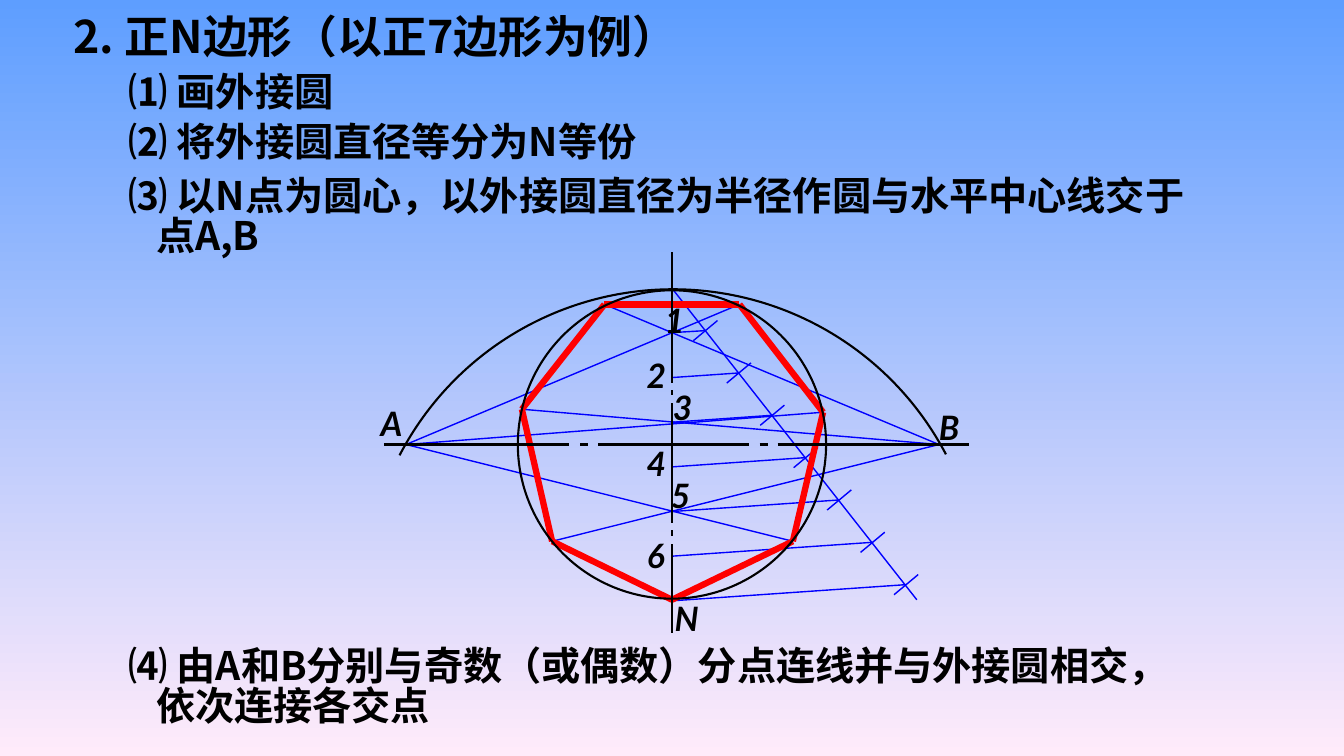
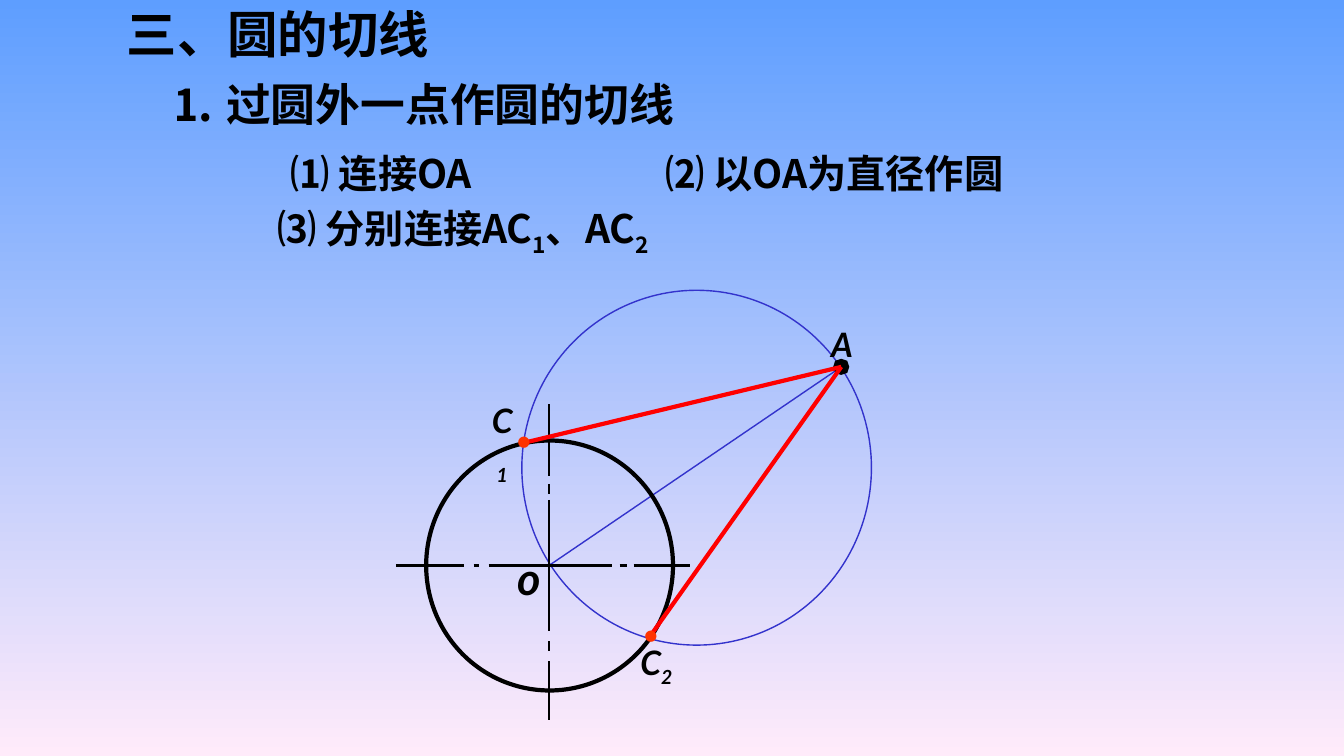
from itertools import pairwise
from math import cos, radians, sin

from lxml.etree import SubElement
from pptx import Presentation
from pptx.dml.color import RGBColor
from pptx.enum.shapes import MSO_CONNECTOR, MSO_SHAPE
from pptx.enum.text import MSO_ANCHOR, PP_ALIGN
from pptx.oxml.ns import qn
from pptx.util import Pt

EMU_PER_PX = 9144
SKY = RGBColor(0x5E, 0x9E, 0xFF)
BLUSH = RGBColor(0xFF, 0xEB, 0xFA)
BLACK = RGBColor(0, 0, 0)
BLUE = RGBColor(0, 0, 0xFF)
INDIGO = RGBColor(0x33, 0x33, 0xCC)
RED = RGBColor(0xFF, 0, 0)
ORANGE = RGBColor(0xFF, 0x33, 0)
CJK = "Noto Sans CJK SC"
LATIN = "Lato"


def px(*lengths):
    return [round(length * EMU_PER_PX) for length in lengths]


class GeometryDeck:
    def __init__(self):
        self.prs = Presentation()
        self.prs.slide_width, self.prs.slide_height = px(1334, 750)
        fill = self.prs.slide_master.background.fill
        fill.gradient()
        fill.gradient_angle = 270
        for stop, colour in zip(fill.gradient_stops, (SKY, BLUSH)):
            stop.color.rgb = colour

    def new_slide(self):
        self.shapes = self.prs.slides.add_slide(self.prs.slide_layouts[6]).shapes

    def text(self, content, left, top, width, height, *, size=28, font=CJK,
             colour=BLACK, italic=False, align=PP_ALIGN.LEFT, spacing=None):
        """Newlines part paragraphs; bars enclose subscripts."""
        frame = self.shapes.add_textbox(*px(left, top, width, height)).text_frame
        frame.word_wrap = True
        frame.vertical_anchor = MSO_ANCHOR.MIDDLE
        for row, line in enumerate(content.split("\n")):
            paragraph = frame.add_paragraph() if row else frame.paragraphs[0]
            paragraph.alignment = align
            paragraph.line_spacing = spacing
            if row:
                paragraph._p.get_or_add_pPr().set("marL", str(px(27)[0]))
            for index, piece in enumerate(line.split("|")):
                if not piece:
                    continue
                run = paragraph.add_run()
                run.text = piece
                run.font.size = Pt(size)
                run.font.bold = True
                run.font.italic = italic
                run.font.color.rgb = colour
                run.font.name = font
                properties = run._r.get_or_add_rPr()
                SubElement(properties, qn("a:ea"), typeface=font)
                if index % 2:
                    properties.set("baseline", "-25000")

    def label(self, content, left, top, width=38, height=50, size=24):
        self.text(content, left, top, width, height, size=size, font=LATIN,
                  italic=True, align=PP_ALIGN.CENTER)

    def line(self, start, end, colour=BLUE, weight=1):
        connector = self.shapes.add_connector(MSO_CONNECTOR.STRAIGHT, *px(*start, *end))
        connector.line.color.rgb = colour
        connector.line.width = Pt(weight)
        SubElement(connector._element.spPr, qn("a:effectLst"))

    def centre_line(self, spans, *, x=None, y=None):
        for first, last in spans:
            if y is None:
                self.line((x, first), (x, last), BLACK, 1.5)
            else:
                self.line((first, y), (last, y), BLACK, 1.5)

    def outline(self, kind, left, top, width, height, colour=BLACK, weight=1.5):
        shape = self.shapes.add_shape(kind, *px(left, top, width, height))
        shape.shadow.inherit = False
        shape.fill.background()
        shape.line.color.rgb = colour
        shape.line.width = Pt(weight)
        return shape

    def arc(self, left, top, diameter, start, end):
        curve = self.outline(MSO_SHAPE.ARC, left, top, diameter, diameter)
        for index, degrees in enumerate((start, end)):
            curve.adjustments[index] = degrees * 0.6

    def octagon(self, x, y, radius):
        corners = [(x + radius * cos(radians(turn)), y + radius * sin(radians(turn)))
                   for turn in range(0, 360, 45)]
        builder = self.shapes.build_freeform(*corners[0], scale=EMU_PER_PX)
        builder.add_line_segments(corners[1:], close=True)
        point = builder.convert_to_shape()
        point.shadow.inherit = False
        point.fill.solid()
        point.fill.fore_color.rgb = BLACK
        point.line.fill.background()

    def dot(self, left, top):
        self.text("●", left, top, 32, 25, size=9, colour=ORANGE, align=PP_ALIGN.CENTER)


def draw_polygon_slide(deck):
    deck.new_slide()
    deck.text("2. 正N边形（以正7边形为例）", 63, 3, 735, 64, size=32)
    deck.arc(362, 287, 612, 207.5, 332.3)

    point_a, point_b = (403, 441), (932, 441)
    right = [(734, 302), (817, 409), (787, 537)]
    left = [(600, 302), (518, 406), (548, 537)]
    bottom = (667, 595)
    for pole, vertices in ((point_a, right), (point_b, left)):
        for vertex in vertices:
            deck.line(pole, vertex)

    deck.line((667, 286), (910, 595))
    for part in range(1, 8):
        x, y = 667 + 33.2 * part, 286 + 42 * part
        if part > 1:
            deck.line((667, 286 + 44.3 * part), (x, y))
        else:
            deck.line((667, 330), (x, y))
        deck.line((x + 12, y - 10), (x - 12, y + 10))

    heptagon = [bottom, *reversed(left), *right, bottom]
    for start, end in pairwise(heptagon):
        deck.line(start, end, RED, 4.5)

    deck.centre_line([(250, 380), (387, 392), (400, 519), (526, 532), (540, 628)], x=667)
    deck.centre_line([(381, 565), (576, 584), (594, 743), (754, 762), (772, 962)], y=441)
    deck.outline(MSO_SHAPE.OVAL, 514, 288, 306, 306)

    deck.text("⑴ 画外接圆", 118, 62, 278, 57)
    deck.text("⑵ 将外接圆直径等分为N等份", 118, 111, 624, 57)
    deck.text("⑶ 以N点为圆心，以外接圆直径为半径作圆与水平中心线交于\n点A,B",
              118, 172, 1189, 90, spacing=0.85)
    deck.text("⑷ 由A和B分别与奇数（或偶数）分点连线并与外接圆相交，\n依次连接各交点",
              118, 638, 1162, 90, spacing=0.85)
    for name, x, y in (("1", 650, 293), ("2", 632, 347), ("3", 658, 379),
                       ("4", 632, 434), ("5", 656, 466), ("6", 632, 526)):
        deck.label(name, x, y)
    deck.label("N", 659, 588, width=45)
    deck.label("A", 368, 395, width=41)
    deck.label("B", 922, 399, width=40)


def draw_tangent_slide(deck):
    deck.new_slide()
    deck.text("三、圆的切线", 116, -2, 350, 70, size=36)
    deck.text("⒈ 过圆外一点作圆的切线", 160, 71, 560, 64, size=32)
    deck.text("⑴ 连接OA", 279, 143, 240, 57)
    deck.text("⑵ 以OA为直径作圆", 651, 143, 410, 57)
    deck.text("⑶ 分别连接AC|1|、AC|2", 266, 198, 450, 63)

    centre, point_a = (545, 561), (835, 364)
    deck.line(centre, point_a, INDIGO)
    deck.outline(MSO_SHAPE.OVAL, 518, 288, 347, 352, INDIGO, 1)
    deck.label("o", 502, 541, width=46, height=64, size=32)
    deck.centre_line([(401, 472), (480, 490), (496, 626), (636, 646), (656, 714)], x=545)
    deck.centre_line([(393, 461), (470, 475), (485, 607), (615, 622), (629, 685)], y=561)
    deck.octagon(*point_a, 8)
    deck.outline(MSO_SHAPE.OVAL, 423, 437, 245, 248, weight=3)
    deck.label("A", 815, 316, width=41)

    for tangent_point in ((644, 633), (517, 440)):
        deck.line(point_a, tangent_point, RED, 3)
    deck.label("C|2", 622, 632, width=59, height=56)
    deck.dot(630, 619)
    deck.label("C|1", 476, 392, width=45, height=95)
    deck.dot(504, 426)


def main():
    deck = GeometryDeck()
    draw_polygon_slide(deck)
    draw_tangent_slide(deck)
    deck.prs.save("out.pptx")


if __name__ == "__main__":
    main()
